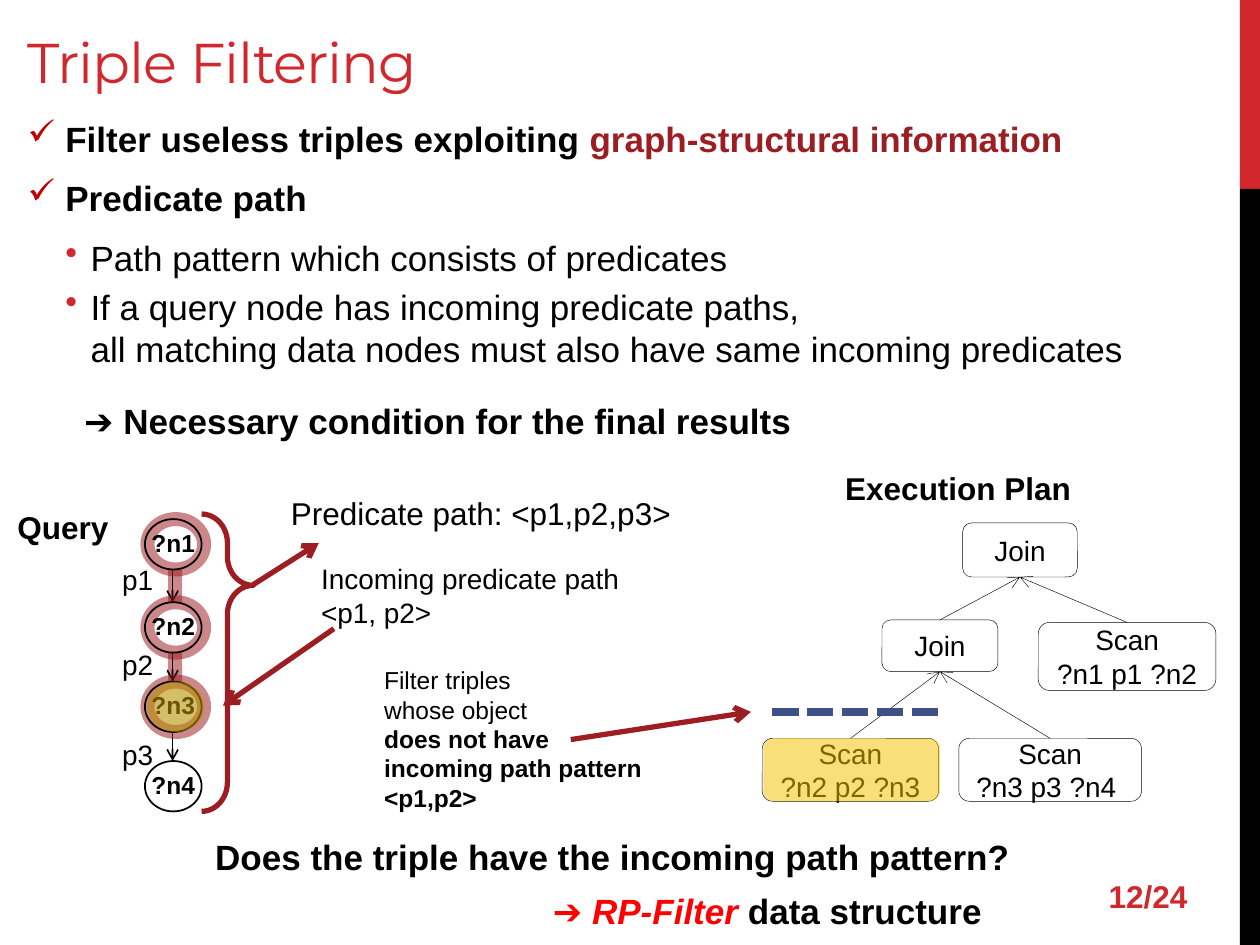
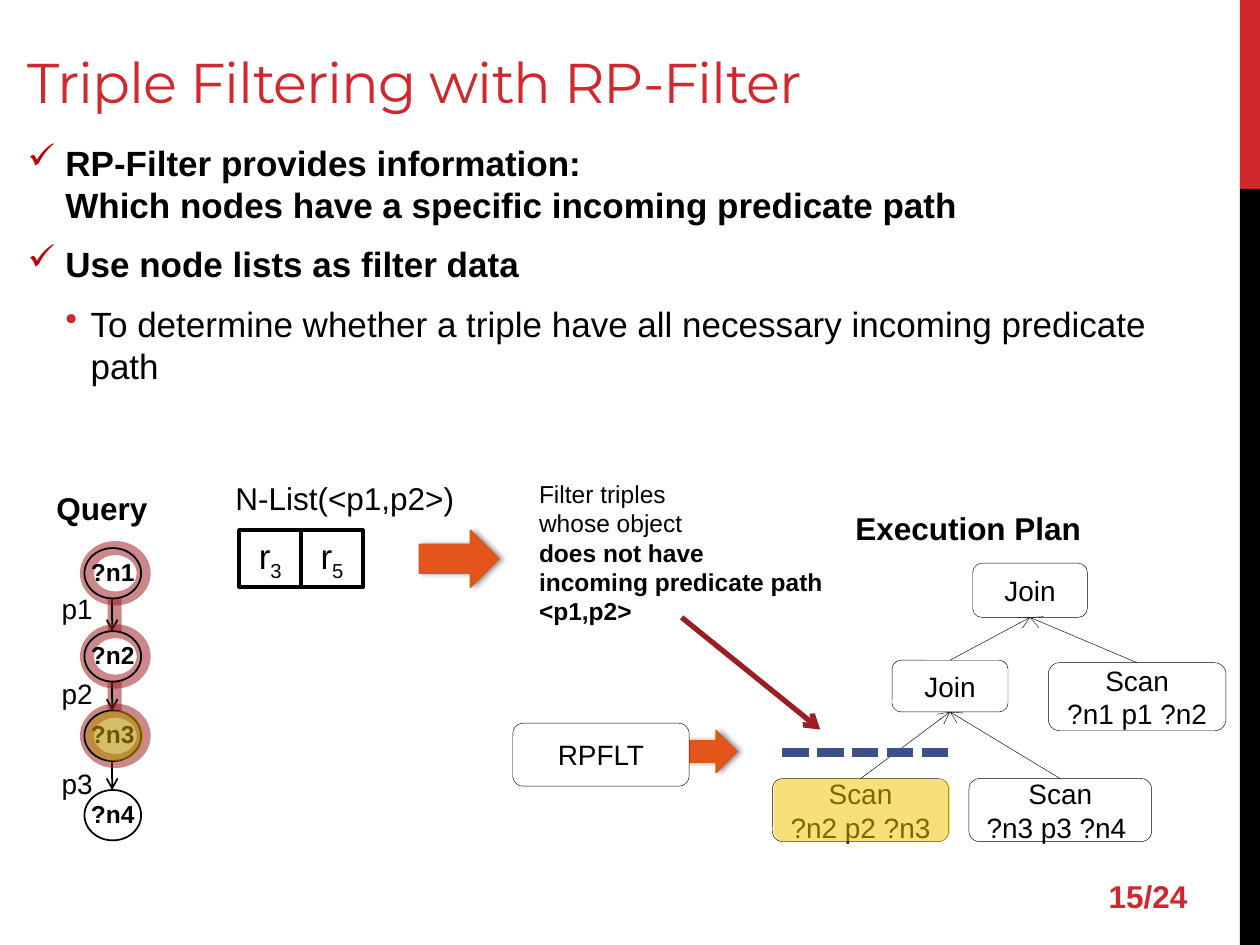
from dataclasses import dataclass, replace
from itertools import pairwise
from typing import NamedTuple, Optional

from lxml import etree
from pptx import Presentation, slide as sl, util as u
from pptx.dml.color import RGBColor
from pptx.enum import dml, shapes, text
from pptx.oxml.ns import qn

COLORS = {
    "red": "D1282E", "check": "C00000", "dark red": "9D1E22", "bright red": "FF0000",
    "black": "000000", "white": "FFFFFF", "orange": "E5551B", "orange edge": "DC551F",
    "gold": "F5C201", "ochre": "B89101", "blue": "3D5185",
}
KIND = shapes.MSO_SHAPE
CENTER, LEFT = text.PP_ALIGN.CENTER, text.PP_ALIGN.LEFT
MIDDLE, TOP, BOTTOM = text.MSO_ANCHOR.MIDDLE, text.MSO_ANCHOR.TOP, text.MSO_ANCHOR.BOTTOM
TOP_SIDE, BOTTOM_SIDE = 0, 2


class Box(NamedTuple):
    left: float
    top: float
    width: float
    height: float

    def inches(self) -> list[int]:
        return [u.Inches(value) for value in self]

    def moved(self, x: float, y: float) -> "Box":
        return Box(self.left + x, self.top + y, self.width, self.height)


@dataclass(frozen=True)
class Run:
    words: str
    size: float = 16
    bold: bool = False
    italic: bool = False
    color: str = "black"
    font: str = "Arial"
    tracking: int = 0
    baseline: int = 0


@dataclass(frozen=True)
class Pen:
    color: str
    width: float
    alpha: int = 100
    dash: Optional[dml.MSO_LINE] = None
    arrow: bool = False


@dataclass(frozen=True)
class Bullet:
    mark: str
    color: str
    margin: float
    hang: float
    after: int


CHECK = Bullet("✓", "check", 0.3, 0.3, 6)
DOT = Bullet("•", "red", 0.5, 0.2, 0)
HAIRLINE = Pen("black", 0.25)
NODE_EDGE = Pen("black", 1)
HALO = Pen("dark red", 8, alpha=52)
POINTER = Pen("dark red", 3, arrow=True)
FILTER_BAR = Pen("blue", 5, dash=dml.MSO_LINE.SQUARE_DOT)

Paragraph = list[Run]


def rgb(name: str) -> RGBColor:
    return RGBColor.from_string(COLORS[name])


def add_xml(parent, tag: str, **attributes):
    return etree.SubElement(parent, qn(tag), attributes)


def set_alpha(holder, percent: int) -> None:
    if percent < 100:
        color = holder.find(".//" + qn("a:srgbClr"))
        add_xml(color, "a:alpha", val=str(percent * 1000))


def write(paragraph, runs: Paragraph) -> None:
    for item in runs:
        for number, line in enumerate(item.words.split("\n")):
            if number:
                paragraph.add_line_break()
            run = paragraph.add_run()
            run.text = line
            font = run.font
            font.name, font.size = item.font, u.Pt(item.size)
            font.bold, font.italic = item.bold, item.italic
            font.color.rgb = rgb(item.color)
            if item.tracking:
                font._rPr.set("spc", str(item.tracking))
            if item.baseline:
                font._rPr.set("baseline", str(item.baseline * 1000))


def fill_frame(frame, paragraphs: list[Paragraph], align=LEFT, anchor=TOP, wrap: bool = True) -> None:
    frame.word_wrap = wrap
    frame.vertical_anchor = anchor
    for number, runs in enumerate(paragraphs):
        paragraph = frame.add_paragraph() if number else frame.paragraphs[0]
        paragraph.alignment = align
        write(paragraph, runs)


def add_label(slide: sl.Slide, box: Box, *paragraphs: Paragraph, anchor=TOP) -> None:
    """Text in a box that grows with its words and does not wrap."""
    frame = slide.shapes.add_textbox(*box.inches()).text_frame
    fill_frame(frame, list(paragraphs), anchor=anchor, wrap=False)
    frame.auto_size = text.MSO_AUTO_SIZE.SHAPE_TO_FIT_TEXT


def set_pen(line, pen: Pen) -> None:
    line.color.rgb = rgb(pen.color)
    line.width = u.Pt(pen.width)
    if pen.dash:
        line.dash_style = pen.dash


def add_figure(slide: sl.Slide, kind, box: Box, fill: Optional[str] = None,
               alpha: int = 100, pen: Optional[Pen] = None):
    figure = slide.shapes.add_shape(kind, *box.inches())
    figure.shadow.inherit = False
    properties = figure._element.spPr
    if fill:
        figure.fill.solid()
        figure.fill.fore_color.rgb = rgb(fill)
        set_alpha(properties.find(qn("a:solidFill")), alpha)
    else:
        figure.fill.background()
    if pen:
        set_pen(figure.line, pen)
        set_alpha(properties.find(qn("a:ln")), pen.alpha)
    else:
        figure.line.fill.background()
    return figure


def add_line(slide: sl.Slide, start: tuple[float, float], end: tuple[float, float], pen: Pen):
    line = slide.shapes.add_connector(
        shapes.MSO_CONNECTOR.STRAIGHT, *(u.Inches(value) for value in (*start, *end)))
    set_pen(line.line, pen)
    properties = line._element.spPr
    outline = properties.find(qn("a:ln"))
    set_alpha(outline, pen.alpha)
    if pen.arrow:
        add_xml(outline, "a:tailEnd", type="arrow")
    add_xml(properties, "a:effectLst")
    return line


def add_block_arrow(slide: sl.Slide, box: Box) -> None:
    arrow = add_figure(slide, KIND.RIGHT_ARROW, box, "orange", pen=Pen("orange edge", 1))
    effects = arrow._element.spPr.find(qn("a:effectLst"))
    shadow = add_xml(effects, "a:outerShdw", blurRad=str(u.Pt(3.1)), dist=str(u.Pt(1.8)),
                     dir="0", rotWithShape="0")
    add_xml(add_xml(shadow, "a:srgbClr", val=COLORS["black"]), "a:alpha", val="40000")


def add_operator(slide: sl.Slide, box: Box, *lines: str):
    operator = add_figure(slide, KIND.ROUNDED_RECTANGLE, box, "white", pen=HAIRLINE)
    fill_frame(operator.text_frame, [[Run(line)] for line in lines], CENTER, MIDDLE)
    return operator


def add_base(deck, title: str, title_top: float, page: str) -> sl.Slide:
    """Blank slide with the side bands, the title and the page number."""
    slide = deck.slides.add_slide(deck.slide_layouts[6])
    add_figure(slide, KIND.RECTANGLE, Box(9.84, 0, 0.16, 1.5), "red")
    add_figure(slide, KIND.RECTANGLE, Box(9.84, 1.5, 0.16, 6), "black")
    heading = Run(title, 32, color="red", font="Montserrat", tracking=-60)
    number = Run(page, 18, bold=True, color="red")
    for box, run, anchor in ((Box(0.12, title_top, 9.61, 0.83), heading, BOTTOM),
                             (Box(8.7, 6.74, 1.1, 0.74), number, MIDDLE)):
        frame = slide.shapes.add_textbox(*box.inches()).text_frame
        fill_frame(frame, [[run]], anchor=anchor)
    return slide


def add_body(slide: sl.Slide, top: float, points: list[tuple[Bullet, Paragraph]]) -> None:
    frame = slide.shapes.add_textbox(*Box(0.12, top, 9.61, 5.63).inches()).text_frame
    fill_frame(frame, [runs for _, runs in points])
    for paragraph, (bullet, _) in zip(frame.paragraphs, points):
        paragraph.space_before = u.Pt(4)
        paragraph.space_after = u.Pt(bullet.after)
        properties = paragraph._p.get_or_add_pPr()
        properties.set("marL", str(u.Inches(bullet.margin)))
        properties.set("indent", str(-u.Inches(bullet.hang)))
        add_xml(add_xml(properties, "a:buClr"), "a:srgbClr", val=COLORS[bullet.color])
        add_xml(properties, "a:buChar", char=bullet.mark)


def add_query(slide: sl.Slide, x: float, y: float, heading: Box) -> None:
    """Chain ?n1 to ?n4 with the path to ?n3 highlighted; x, y is the corner of ?n1."""
    nodes = [Box(x, y + offset, 0.45, 0.4) for offset in (0, 0.66, 1.29, 1.92)]
    halos = [node.moved(0.02, 0) for node in nodes[:3]]
    for chain, pen in ((halos, HALO), (nodes, replace(NODE_EDGE, arrow=True))):
        for upper, lower in pairwise(chain):
            middle = upper.left + 0.22
            add_line(slide, (middle, upper.top + upper.height), (middle, lower.top), pen)
    for halo in halos:
        add_figure(slide, KIND.OVAL, halo, pen=HALO)
    for number, node in enumerate(nodes, 1):
        oval = add_figure(slide, KIND.OVAL, node, pen=NODE_EDGE)
        fill_frame(oval.text_frame, [[Run(f"?n{number}", 14, bold=True)]], CENTER, MIDDLE, wrap=False)
        oval.text_frame.paragraphs[0].line_spacing = 0.9
    for number, offset in enumerate((0.29, 0.97, 1.68), 1):
        add_label(slide, Box(x - 0.28, y + offset, 0.45, 0.37), [Run(f"p{number}")], anchor=MIDDLE)
    add_figure(slide, KIND.OVAL, halos[2], "ochre", alpha=59)
    add_label(slide, heading, [Run("Query", 18, bold=True)], anchor=MIDDLE)


def add_execution_plan(slide: sl.Slide, x: float, y: float) -> None:
    """Join tree; x is the left of the first scan and y the top of the root join."""
    filtered = Box(x, y + 1.71, 1.4, 0.5)
    scan_p2 = add_operator(slide, filtered, "Scan", "?n2 p2 ?n3")
    scan_p3 = add_operator(slide, Box(x + 1.56, y + 1.71, 1.45, 0.5), "Scan", "?n3 p3 ?n4 ")
    scan_p1 = add_operator(slide, Box(x + 2.19, y + 0.79, 1.41, 0.54), "Scan", "?n1 p1 ?n2")
    inner_join = add_operator(slide, Box(x + 0.95, y + 0.77, 0.92, 0.41), "Join")
    root_join = add_operator(slide, Box(x + 1.59, y, 0.91, 0.43), "Join")
    for child, parent in ((scan_p2, inner_join), (scan_p3, inner_join),
                          (inner_join, root_join), (scan_p1, root_join)):
        edge = add_line(slide, (x, y), (x, y), replace(HAIRLINE, arrow=True))
        edge.begin_connect(child, TOP_SIDE)
        edge.end_connect(parent, BOTTOM_SIDE)
    add_label(slide, Box(x + 0.56, y - 0.48, 2.01, 0.4), [Run("Execution Plan", 18, bold=True)])
    add_figure(slide, KIND.ROUNDED_RECTANGLE, filtered.moved(0.01, 0), "gold", alpha=52)
    add_line(slide, (x + 0.08, y + 1.5), (x + 1.4, y + 1.5), FILTER_BAR)


def add_filter_note(slide: sl.Slide, box: Box, pattern: str) -> None:
    plain = ("Filter triples", "whose object")
    strong = ("does not have", pattern, "<p1,p2>")
    add_label(slide, box, *([Run(line, 14)] for line in plain),
              *([Run(line, 14, bold=True)] for line in strong))


def build_triple_filtering(deck) -> None:
    slide = add_base(deck, "Triple Filtering", -0.03, "12/24")
    strong = Run("", 20, bold=True)
    add_body(slide, 0.88, [
        (CHECK, [replace(strong, words="Filter useless triples exploiting "),
                 replace(strong, words="graph-structural information", color="dark red")]),
        (CHECK, [replace(strong, words="Predicate path")]),
        (DOT, [Run("Path pattern which consists of predicates", 20)]),
        (DOT, [Run("If a query node has incoming predicate paths, \n"
                   "all matching data nodes must also have same incoming predicates", 20)]),
    ])
    add_query(slide, 1.15, 4.12, Box(0.04, 3.98, 0.93, 0.4))
    add_execution_plan(slide, 6.05, 4.15)
    add_label(slide, Box(0.57, 3.12, 5.92, 0.44),
              [replace(strong, words="➔ Necessary condition for the final results")])
    add_label(slide, Box(1.61, 6.58, 6.56, 0.44),
              [replace(strong, words="Does the triple have the incoming path pattern?")])
    add_label(slide, Box(4.29, 7.01, 3.69, 0.44),
              [replace(strong, words="➔ RP-Filter", italic=True, color="bright red"),
               replace(strong, words=" data structure")])
    add_label(slide, Box(2.21, 3.87, 3.25, 0.4), [Run("Predicate path: <p1,p2,p3>", 18)])
    add_label(slide, Box(2.45, 4.41, 2.74, 0.97),
              [Run("Incoming predicate path")], [Run("<p1, p2>")])
    add_filter_note(slide, Box(2.95, 5.23, 2.31, 1.28), "incoming path pattern ")
    for start, end in (((2.65, 4.99), (1.77, 5.6)), ((4.53, 5.87), (5.96, 5.65)),
                       ((2.01, 4.64), (2.53, 4.31))):
        add_line(slide, start, end, POINTER)
    brace = add_figure(slide, KIND.RIGHT_BRACE, Box(1.6, 4.08, 0.41, 2.36), pen=Pen("dark red", 3))
    brace.adjustments[0], brace.adjustments[1] = 0.56, 0.24


def build_rp_filter(deck) -> None:
    slide = add_base(deck, "Triple Filtering with RP-Filter", 0.13, "15/24")
    add_body(slide, 1.07, [
        (CHECK, [Run("RP-Filter provides information:\n"
                     "Which nodes have a specific incoming predicate path", 20, bold=True)]),
        (CHECK, [Run("Use node lists as filter data", 20, bold=True)]),
        (DOT, [Run("To determine whether a triple have all necessary incoming predicate path", 20)]),
    ])
    add_query(slide, 0.67, 4.35, Box(0.35, 3.83, 0.93, 0.4))
    add_execution_plan(slide, 6.13, 4.47)
    add_filter_note(slide, Box(4.18, 3.75, 2.46, 1.28), "incoming predicate path")
    add_line(slide, (5.41, 4.9), (6.51, 5.79), POINTER)
    add_label(slide, Box(1.77, 3.75, 1.96, 0.4), [Run("N-List(<p1,p2>)", 18)])
    for column, index in enumerate("35"):
        entry = add_figure(slide, KIND.RECTANGLE, Box(1.9 + 0.49 * column, 4.21, 0.49, 0.45),
                           pen=Pen("black", 2.25))
        fill_frame(entry.text_frame, [[Run("r", 20), Run(index, 20, baseline=-25)]], CENTER, MIDDLE)
    add_block_arrow(slide, Box(3.33, 4.21, 0.63, 0.45))
    add_block_arrow(slide, Box(5.41, 5.8, 0.44, 0.33))
    add_operator(slide, Box(4.07, 5.74, 1.4, 0.5), "RPFLT")


def main() -> None:
    deck = Presentation()
    deck.slide_width, deck.slide_height = u.Inches(10), u.Inches(7.5)
    build_triple_filtering(deck)
    build_rp_filter(deck)
    deck.save("out.pptx")


if __name__ == "__main__":
    main()
